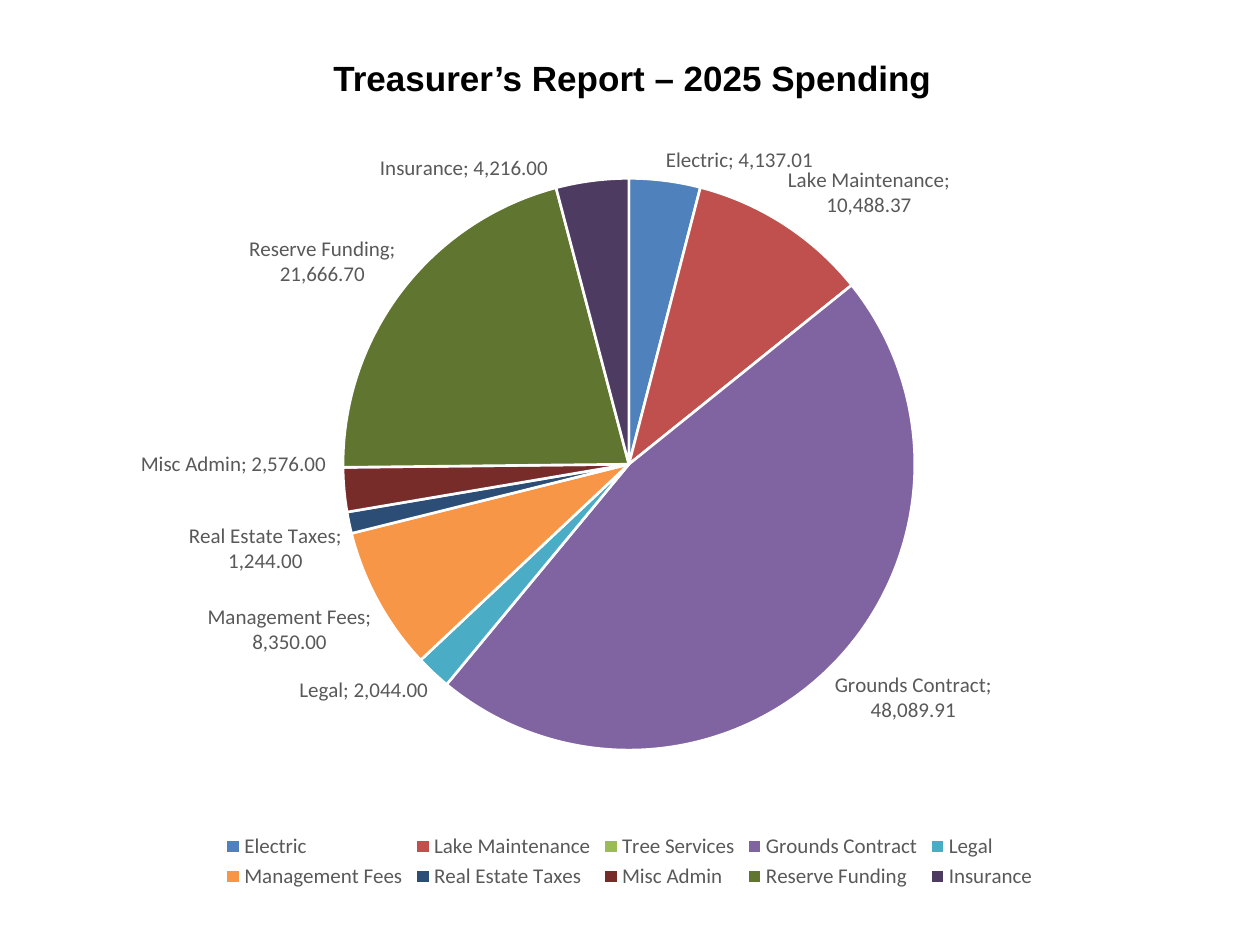
import copy
from dataclasses import dataclass

import lxml.etree
import pptx
import pptx.chart.data
import pptx.dml.color
import pptx.enum.chart
import pptx.enum.text
import pptx.oxml
import pptx.oxml.ns
import pptx.util

PX_PER_INCH = 126
GREY = "595959"


@dataclass(frozen=True)
class Frame:
    left: int
    top: int
    width: int
    height: int


@dataclass(frozen=True)
class Expense:
    name: str
    amount: float
    fill: str


@dataclass(frozen=True)
class LabelShift:
    index: int
    x: float
    y: float


TITLE_FRAME = Frame(213, 50, 839, 107)
CHART_FRAME = Frame(89, 117, 1081, 777)
EXPENSES = [
    Expense("Electric", 4137.01, "4F81BD"),
    Expense("Lake Maintenance", 10488.37, "C0504D"),
    Expense("Tree Services", 0, "9BBB59"),
    Expense("Grounds Contract", 48089.91, "8064A2"),
    Expense("Legal", 2044, "4BACC6"),
    Expense("Management Fees", 8350, "F79646"),
    Expense("Real Estate Taxes", 1244, "2C4D75"),
    Expense("Misc Admin", 2576, "772C2A"),
    Expense("Reserve Funding", 21666.7, "5F7530"),
    Expense("Insurance", 4216, "4D3B62"),
]
LABEL_SHIFTS = [LabelShift(7, -0.01, -0.05), LabelShift(9, -0.04, 0.01)]


def px(length: int) -> int:
    return pptx.util.Emu(round(length * 914400 / PX_PER_INCH))


def color(value: str) -> pptx.dml.color.RGBColor:
    return pptx.dml.color.RGBColor.from_string(value)


def set_font(font, name: str, size: int, fill: str, bold: bool = False) -> None:
    font.name = name
    font.size = pptx.util.Pt(size)
    font.bold = bold
    font.color.rgb = color(fill)


def chart_element(tag: str, value=None):
    element = pptx.oxml.parse_xml(f"<c:{tag} {pptx.oxml.ns.nsdecls('c')}/>")
    if value is not None:
        element.set("val", str(value))
    return element


def manual_layout(**settings):
    layout = chart_element("layout")
    manual = chart_element("manualLayout")
    layout.append(manual)
    for tag, value in settings.items():
        manual.append(chart_element(tag, value))
    return layout


def add_title(page, frame: Frame, text: str) -> None:
    title = page.shapes.title
    title.left, title.top = px(frame.left), px(frame.top)
    title.width, title.height = px(frame.width), px(frame.height)
    title.text_frame.vertical_anchor = pptx.enum.text.MSO_ANCHOR.TOP
    para = title.text_frame.paragraphs[0]
    para.alignment = pptx.enum.text.PP_ALIGN.CENTER
    span = para.add_run()
    span.text = text
    set_font(span.font, "Arial", 20, "000000", True)


def format_labels(series) -> None:
    labels = series.data_labels
    labels.show_value = True
    labels.show_category_name = True
    labels.show_percentage = False
    labels.show_legend_key = False
    labels.position = pptx.enum.chart.XL_LABEL_POSITION.OUTSIDE_END
    labels.number_format = "#,##0.00"
    labels.number_format_is_linked = False
    set_font(labels.font, "Calibri", 12, GREY)

    root = series.data_labels._element
    leader = root.find(pptx.oxml.ns.qn("c:showLeaderLines"))
    if leader is not None:
        root.remove(leader)
    separator = chart_element("separator")
    separator.text = "; "
    root.append(separator)
    shared = list(root)

    entries = []
    for index, expense in enumerate(EXPENSES):
        if expense.amount == 0:
            entry = chart_element("dLbl")
            entry.append(chart_element("idx", index))
            entry.append(chart_element("delete", 1))
            entries.append(entry)
    for shift in LABEL_SHIFTS:
        entry = chart_element("dLbl")
        entry.append(chart_element("idx", shift.index))
        entry.append(manual_layout(x=shift.x, y=shift.y))
        for child in shared:
            entry.append(copy.deepcopy(child))
        entries.append(entry)
    for position, entry in enumerate(entries):
        root.insert(position, entry)
    root.append(chart_element("showLeaderLines", 0))


def add_spending_chart(page, frame: Frame) -> None:
    data = pptx.chart.data.CategoryChartData(number_format="#,##0.00")
    data.categories = [expense.name for expense in EXPENSES]
    data.add_series("Series 1", [expense.amount for expense in EXPENSES])
    chart = page.shapes.add_chart(
        pptx.enum.chart.XL_CHART_TYPE.PIE,
        px(frame.left), px(frame.top), px(frame.width), px(frame.height), data,
    ).chart
    chart.has_title = False
    set_font(chart.font, "Calibri", 10, "000000")
    chart.has_legend = True
    chart.legend.position = pptx.enum.chart.XL_LEGEND_POSITION.BOTTOM
    chart.legend.include_in_layout = False
    set_font(chart.legend.font, "Calibri", 12, GREY)

    plot = chart.plots[0]
    plot.vary_by_categories = True
    series = plot.series[0]
    for index, expense in enumerate(EXPENSES):
        style = series.points[index].format
        style.fill.solid()
        style.fill.fore_color.rgb = color(expense.fill)
        style.line.color.rgb = color("FFFFFF")
        style.line.width = pptx.util.Pt(1.5)
    format_labels(series)

    area = chart._chartSpace.find(".//" + pptx.oxml.ns.qn("c:plotArea"))
    for layout in area.findall(pptx.oxml.ns.qn("c:layout")):
        area.remove(layout)
    area.insert(0, manual_layout(
        layoutTarget="inner", xMode="edge", yMode="edge",
        x=0.235, y=0.079, w=0.529, h=0.736,
    ))


def main() -> None:
    deck = pptx.Presentation()
    deck.slide_width = px(1260)
    deck.slide_height = px(945)
    page = deck.slides.add_slide(deck.slide_layouts[5])
    add_title(page, TITLE_FRAME, "Treasurer’s Report – 2025 Spending")
    add_spending_chart(page, CHART_FRAME)
    deck.save("out.pptx")


if __name__ == "__main__":
    main()
